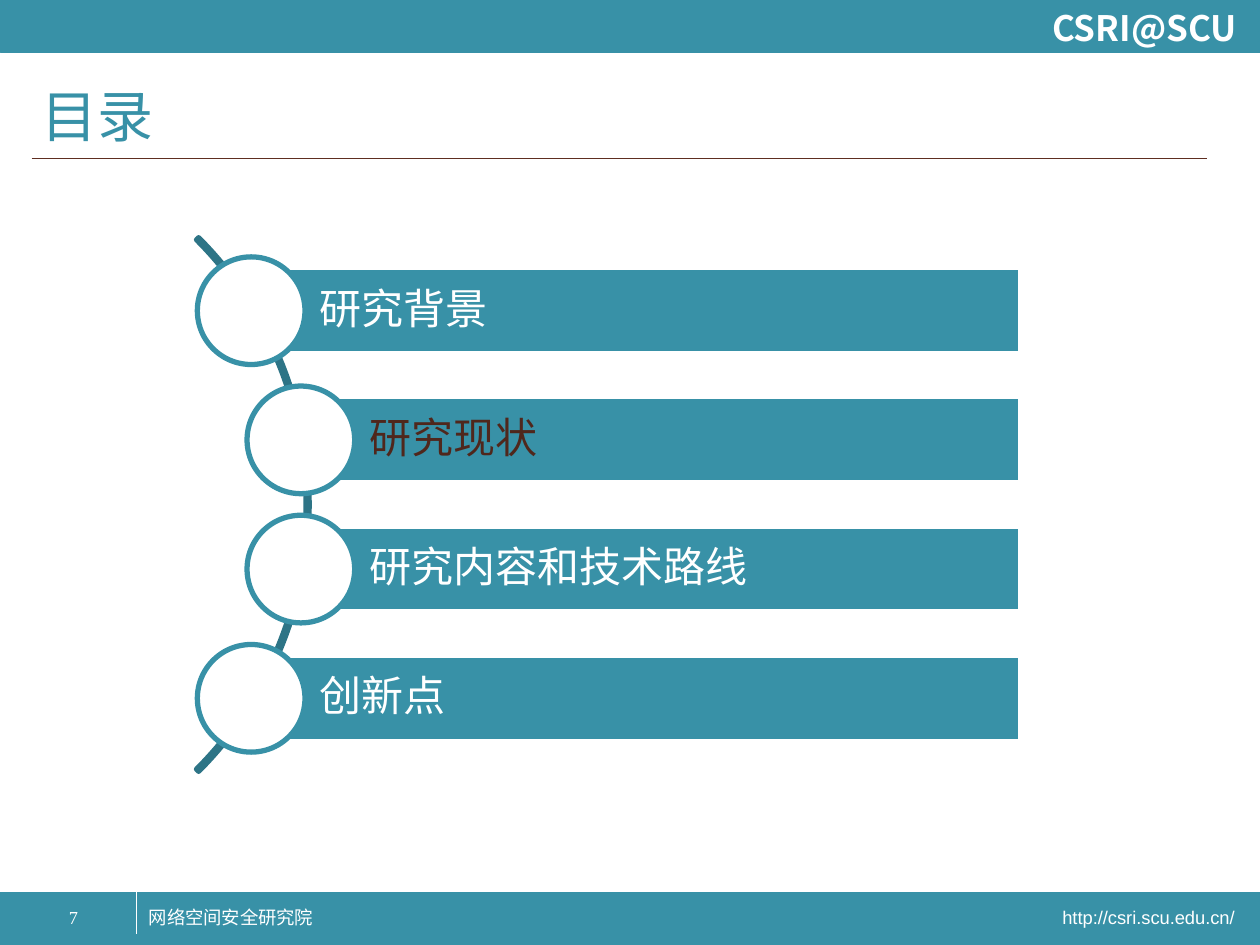
from pptx import Presentation
from pptx.dml.color import RGBColor
from pptx.enum.shapes import MSO_CONNECTOR as CONNECTOR, MSO_SHAPE as SHAPE
from pptx.enum.text import MSO_ANCHOR as ANCHOR, PP_ALIGN as ALIGN
from pptx.oxml.ns import qn
from pptx.util import Pt
from lxml.etree import SubElement

TEAL, DARK_TEAL, WHITE, BROWN, MAROON = "3891A7", "2D7486", "FFFFFF", "4F271C", "5E2E21"
CJK = "Noto Sans CJK SC"


def color(value):
    return RGBColor.from_string(value)


def add_block(slide, kind, x, y, w, h, fill, line, weight):
    block = slide.shapes.add_shape(kind, Pt(x), Pt(y), Pt(w), Pt(h))
    block.shadow.inherit = False
    block.fill.solid()
    block.fill.fore_color.rgb = color(fill)
    block.line.color.rgb = color(line)
    block.line.width = Pt(weight)
    return block


def add_rule(slide, x1, y1, x2, y2, line):
    rule = slide.shapes.add_connector(CONNECTOR.STRAIGHT, Pt(x1), Pt(y1), Pt(x2), Pt(y2))
    rule.line.color.rgb = color(line)
    rule.line.width = Pt(0.75)
    SubElement(rule._element.spPr, qn("a:effectLst"))


def write(frame, text, size, font, ink, align=ALIGN.LEFT, spacing=None, bold=False):
    frame.word_wrap = True
    frame.text = text
    paragraph = frame.paragraphs[0]
    paragraph.alignment = align
    paragraph.line_spacing = spacing
    run = paragraph.runs[0]
    run.font.size = Pt(size)
    run.font.name = font
    run.font.bold = bold
    run.font.color.rgb = color(ink)
    SubElement(run._r.get_or_add_rPr(), qn("a:ea"), typeface=CJK)


def add_label(slide, x, y, w, h, *style, anchor=ANCHOR.TOP, **options):
    label = slide.shapes.add_textbox(Pt(x), Pt(y), Pt(w), Pt(h))
    write(label.text_frame, *style, **options)
    label.text_frame.vertical_anchor = anchor


def add_header(slide, x, y, w, h):
    add_block(slide, SHAPE.RECTANGLE, x, y, w, h, TEAL, TEAL, 0.25)
    add_label(slide, x + w - 136, y, 130, 31.5, "CSRI@SCU", 20, CJK, WHITE,
              align=ALIGN.RIGHT, bold=True)


def add_footer(slide, x, y, w, h):
    add_block(slide, SHAPE.RECTANGLE, x, y, w, h, TEAL, TEAL, 0.25)
    add_rule(slide, x + 78, y, x + 78, y + 24, WHITE)
    text_top = y + 4.2
    add_label(slide, x + 12, text_top, 60, 22, "7", 10.5, "Times New Roman", WHITE, align=ALIGN.CENTER)
    add_label(slide, x + 78, text_top, 132, 20, "网络空间安全研究院", 10.5, CJK, WHITE)
    add_label(slide, x + w - 120, text_top, 114, 20, "http://csri.scu.edu.cn/", 10.5, "Arial", WHITE)


def add_title(slide, x, y, w, h):
    add_label(slide, x, y, w, h, "目录", 32, "Arial", TEAL, spacing=0.9, anchor=ANCHOR.MIDDLE)
    add_rule(slide, x + 1.4, y + 41.8, x + 673.4, y + 41.8, MAROON)


def add_agenda(slide, x, y, w, h):
    items = [
        ("研究背景", 0, WHITE),
        ("研究现状", 28.4, BROWN),
        ("研究内容和技术路线", 28.4, WHITE),
        ("创新点", 0, WHITE),
    ]
    circle, bar = 61.5, 49.2
    pitch = (h - circle) / (len(items) - 1)
    orbit = 431.3
    arc = add_block(slide, SHAPE.BLOCK_ARC, x - 367.4, y + (h - orbit) / 2, orbit, orbit,
                    DARK_TEAL, DARK_TEAL, 3)
    for index, value in enumerate((189, 27, 0.004)):
        arc.adjustments[index] = value

    for row, (topic, indent, ink) in enumerate(items):
        top = y + row * pitch
        start = indent + circle / 2
        strip = add_block(slide, SHAPE.RECTANGLE, x + start, top + (circle - bar) / 2,
                          w - start, bar, TEAL, WHITE, 3)
        frame = strip.text_frame
        write(frame, topic, 24, "Times New Roman", ink, spacing=0.9)
        frame.vertical_anchor = ANCHOR.MIDDLE
        frame.margin_left = Pt(39)
        frame.margin_top = frame.margin_right = frame.margin_bottom = Pt(5)
        add_block(slide, SHAPE.OVAL, x + indent, top, circle, circle, WHITE, TEAL, 3)


def main():
    deck = Presentation()
    deck.slide_width, deck.slide_height = Pt(720), Pt(540)
    slide = deck.slides.add_slide(deck.slide_layouts[6])
    add_footer(slide, 0, 510, 720, 30)
    add_header(slide, 0, 0, 720, 30)
    add_title(slide, 16.6, 48.6, 661, 39.6)
    add_agenda(slide, 112.8, 146.8, 470.2, 283)
    deck.save("out.pptx")


if __name__ == "__main__":
    main()
